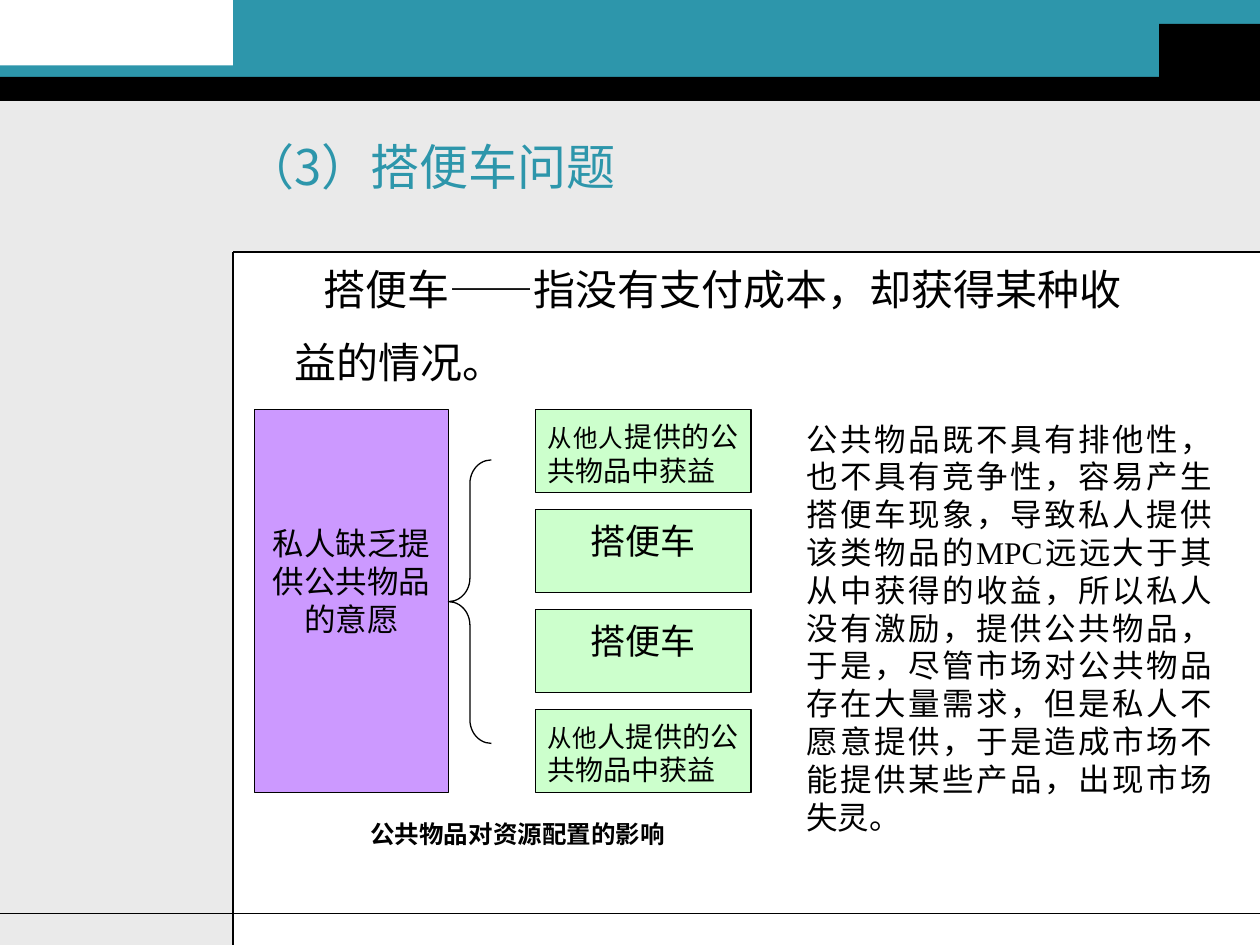
import pptx
import pptx.util
import pptx.dml.color
import pptx.enum.shapes
import pptx.enum.text
import pptx.oxml.ns
from lxml import etree

Inches = pptx.util.Inches
Pt = pptx.util.Pt
Shape = pptx.enum.shapes.MSO_SHAPE
Align = pptx.enum.text.PP_ALIGN

SANS = "Noto Sans CJK KR"
SERIF = "Times New Roman"
BLACK, TEAL, GRAY = "000000", "2D96AB", "EAEAEA"
LILAC, MINT = "CC99FF", "CCFFCC"

BANDS = [
    ((0, 2, 1.85, 5.5), GRAY),
    ((0, 0.75, 10, 1.25), GRAY),
    ((1.85, 0, 8.15, 0.61), TEAL),
    ((0, 0.52, 3.13, 0.13), TEAL),
    ((0, 0.61, 10, 0.19), BLACK),
    ((9.2, 0.19, 0.8, 0.47), BLACK),
]
RULES = [(1.85, 2, 10, 2), (1.85, 2, 1.85, 7.5), (0, 7.25, 10, 7.25)]

RIDER = [("搭便车", 20)]
CARDS = [
    ([("从他人", 14), ("提供的公共物品中获益", 16)], Align.JUSTIFY),
    (RIDER, Align.CENTER),
    (RIDER, Align.CENTER),
    ([("从他", 14), ("人提供的公共物品中获益", 16)], Align.JUSTIFY),
]
BODY = ("公共物品既不具有排他性，也不具有竞争性，容易产生搭便车现象，"
        "导致私人提供该类物品的MPC远远大于其从中获得的收益，"
        "所以私人没有激励，提供公共物品，于是，尽管市场对公共物品存在大量需求，"
        "但是私人不愿意提供，于是造成市场不能提供某些产品，出现市场失灵。")


def color(code):
    return pptx.dml.color.RGBColor.from_string(code)


def add_shape(slide, kind, at, fill=None, line=None):
    shape = slide.shapes.add_shape(kind, *map(Inches, at))
    shape.shadow.inherit = False
    if fill:
        shape.fill.solid()
        shape.fill.fore_color.rgb = color(fill)
    else:
        shape.fill.background()
    if line:
        shape.line.color.rgb = color(line)
        shape.line.width = Pt(0.75)
    else:
        shape.line.fill.background()
    return shape


def add_rule(slide, ends):
    rule = slide.shapes.add_connector(
        pptx.enum.shapes.MSO_CONNECTOR.STRAIGHT, *map(Inches, ends))
    rule.line.color.rgb = color(BLACK)
    rule.line.width = Pt(0.75)
    etree.SubElement(rule._element.spPr, pptx.oxml.ns.qn("a:effectLst"))


def add_box(slide, at):
    return slide.shapes.add_textbox(*map(Inches, at))


def set_frame(shape, left=0.1, top=0.08, bottom=0.05,
              anchor=pptx.enum.text.MSO_ANCHOR.TOP):
    frame = shape.text_frame
    frame.word_wrap = True
    frame.vertical_anchor = anchor
    frame.margin_left, frame.margin_right = Inches(left), Inches(0.1)
    frame.margin_top, frame.margin_bottom = Inches(top), Inches(bottom)
    return frame


def add_run(para, text, size, face=SERIF, tint=BLACK, bold=False):
    run = para.add_run()
    run.text = text
    font = run.font
    font.size, font.name, font.bold = Pt(size), face, bold
    font.color.rgb = color(tint)
    east = etree.SubElement(run._r.get_or_add_rPr(), pptx.oxml.ns.qn("a:ea"))
    east.set("typeface", SANS)


def set_para(para, runs, align=Align.LEFT, pitch=None, **look):
    """Fill a paragraph; line pitch defaults to 1.2 times its largest text."""
    para.alignment = align
    para.line_spacing = Pt(pitch or 1.2 * max(run[1] for run in runs))
    for run in runs:
        add_run(para, *run, **look)


def add_title(slide):
    frame = set_frame(add_box(slide, (1.85, 1, 7.33, 1)), top=0.05,
                      bottom=0.42, anchor=pptx.enum.text.MSO_ANCHOR.MIDDLE)
    set_para(frame.paragraphs[0], [("（3）搭便车问题", 28, SANS)], tint=TEAL)


def add_term(slide):
    frame = set_frame(add_box(slide, (2.24, 1.94, 7.31, 2.84)), top=0.34)
    first = frame.paragraphs[0]
    set_para(first, [("搭便车", 24, SANS), ("——", 24),
                     ("指没有支付成本，却获得某种收", 24, SANS)], pitch=15)
    first._p.get_or_add_pPr().set("indent", str(Inches(0.23)))
    last = frame.add_paragraph()
    set_para(last, [("益的情况。", 24, SANS)], pitch=15)
    last.space_before = Pt(27)


def add_chart(slide):
    """Cause box, brace, four cards and caption."""
    top, tall, card = 3.25, 3.04, 0.66
    cause = add_shape(slide, Shape.RECTANGLE, (2.02, top, 1.54, tall),
                      LILAC, BLACK)
    set_para(set_frame(cause, top=0.91).paragraphs[0],
             [("私人缺乏提供公共物品的意愿", 18)], Align.CENTER)
    brace = add_shape(slide, Shape.LEFT_BRACE, (3.56, 3.65, 0.34, 2.25),
                      line=BLACK)
    brace.adjustments[0] = 0.55
    step = (tall - card) / (len(CARDS) - 1)
    for row, (runs, align) in enumerate(CARDS):
        shape = add_shape(slide, Shape.RECTANGLE,
                          (4.25, top + row * step, 1.71, card), MINT, BLACK)
        set_para(set_frame(shape).paragraphs[0], runs, align)
    label = set_frame(add_box(slide, (2.38, 6.42, 3.42, 0.4)), left=0.56)
    set_para(label.paragraphs[0], [("公共物品对资源配置的影响", 14)],
             Align.JUSTIFY, bold=True)


def add_body(slide):
    frame = set_frame(add_box(slide, (6.3, 3.25, 3.42, 2.38)))
    set_para(frame.paragraphs[0], [(BODY, 18)], Align.JUSTIFY)


def main():
    deck = pptx.Presentation()
    deck.slide_width, deck.slide_height = Inches(10), Inches(7.5)
    slide = deck.slides.add_slide(deck.slide_layouts[6])
    for at, fill in BANDS:
        add_shape(slide, Shape.RECTANGLE, at, fill)
    for ends in RULES:
        add_rule(slide, ends)
    add_title(slide)
    add_term(slide)
    add_chart(slide)
    add_body(slide)
    deck.save("out.pptx")


if __name__ == "__main__":
    main()
